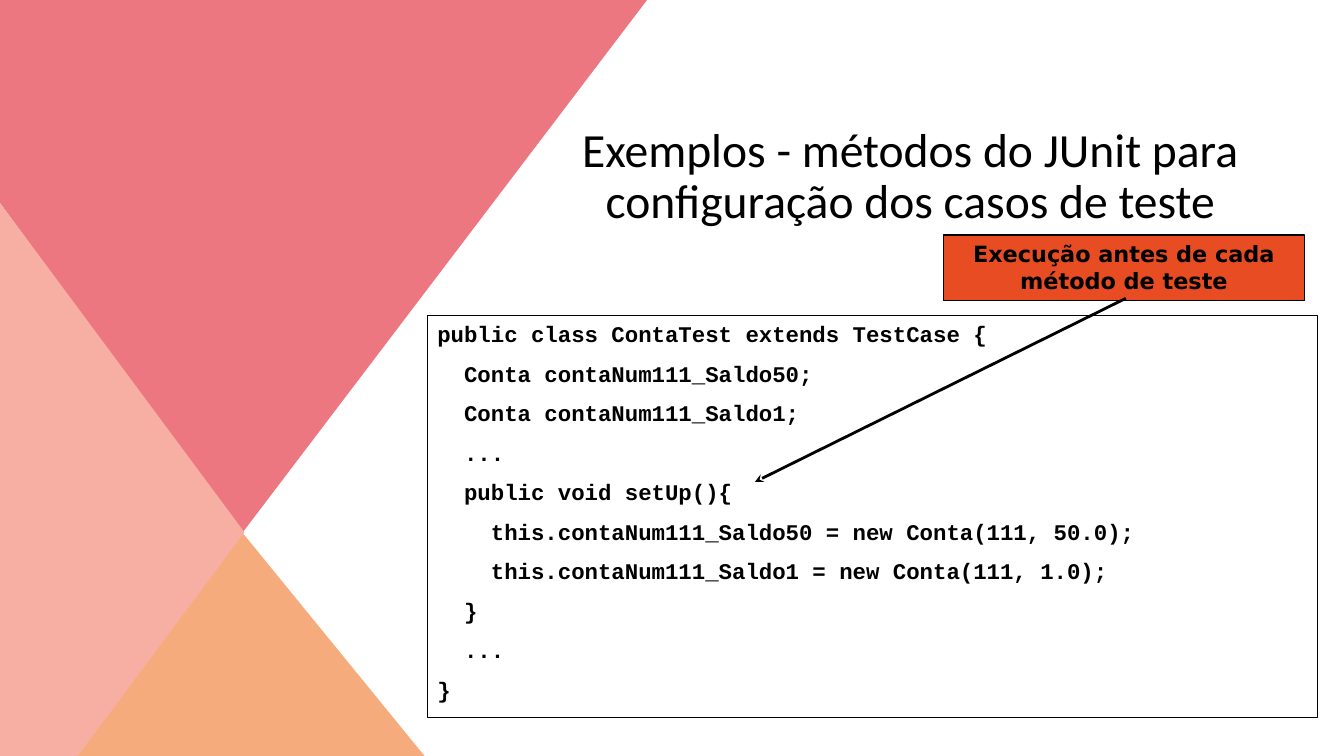
from lxml import etree
from pptx import Presentation
from pptx.dml.color import RGBColor
from pptx.enum.shapes import MSO_CONNECTOR, MSO_SHAPE
from pptx.enum.text import MSO_ANCHOR, MSO_AUTO_SIZE, PP_ALIGN
from pptx.oxml.ns import qn
from pptx.util import Pt

TRIANGLE, RECT = MSO_SHAPE.ISOSCELES_TRIANGLE, MSO_SHAPE.RECTANGLE
STRAIGHT = MSO_CONNECTOR.STRAIGHT
TOP, BOTTOM = MSO_ANCHOR.TOP, MSO_ANCHOR.BOTTOM
LEFT, CENTER = PP_ALIGN.LEFT, PP_ALIGN.CENTER
NO_FIT = MSO_AUTO_SIZE.NONE

COLORS = {"black": "000000", "orange": "F6AB7C", "red": "ED7780",
          "pink": "F7AFA3", "callout": "E84C22"}
RGB = {name: RGBColor.from_string(value) for name, value in COLORS.items()}


def paint(sp, fill=None, line=None):
    sp.shadow.inherit = False
    if fill:
        sp.fill.solid()
        sp.fill.fore_color.rgb = RGB[fill]
    else:
        sp.fill.background()
    if line:
        sp.line.color.rgb = RGB[line]
        sp.line.width = Pt(1)
    else:
        sp.line.fill.background()


def write(sp, lines, font, size, align, anchor, bold):
    tf = sp.text_frame
    tf.word_wrap = True
    tf.auto_size = NO_FIT
    tf.vertical_anchor = anchor
    for i, text in enumerate(lines):
        p = tf.add_paragraph() if i else tf.paragraphs[0]
        p.text = text
        p.alignment = align
        p.space_before = Pt(9 if i else 0)
        p.font.name, p.font.size, p.font.bold = font, Pt(size), bold
        p.font.color.rgb = RGB["black"]


prs = Presentation()
prs.slide_width, prs.slide_height = Pt(960), Pt(540)
s = prs.slides.add_slide(prs.slide_layouts[5])

# Decorative facets on the left
sp = s.shapes.add_shape(TRIANGLE, Pt(40.3), Pt(379.5), Pt(264.2), Pt(162))
paint(sp, "orange")
facets = {
    "red": [(0, 0), (462.2, 0), (173.2, 380.5), (0, 145)],
    "pink": [(0, 145), (174.6, 380.2), (55.5, 540), (0, 540)],
}
for color, points in facets.items():
    corners = [(Pt(x), Pt(y)) for x, y in points]
    builder = s.shapes.build_freeform(*corners[0])
    builder.add_line_segments(corners[1:], close=True)
    paint(builder.convert_to_shape(), color)

# Title
title = s.shapes.title
title.left, title.top, title.width, title.height = Pt(323.3), Pt(77), Pt(653.8), Pt(90)
write(title, ["Exemplos - métodos do JUnit para configuração dos casos de teste"],
      "Calibri", 34, CENTER, BOTTOM, False)
title.text_frame.paragraphs[0].line_spacing = 0.9

# Code listing
code = """public class ContaTest extends TestCase {
  Conta contaNum111_Saldo50;
  Conta contaNum111_Saldo1;
  ...
  public void setUp(){
    this.contaNum111_Saldo50 = new Conta(111, 50.0);
    this.contaNum111_Saldo1 = new Conta(111, 1.0);
  }
  ...
}"""
sp = s.shapes.add_shape(RECT, Pt(305.3), Pt(225.4), Pt(635.8), Pt(287.3))
paint(sp, line="black")
write(sp, code.split("\n"), "Courier New", 16, LEFT, TOP, True)

# Callout
sp = s.shapes.add_shape(RECT, Pt(673.9), Pt(168), Pt(257.8), Pt(46.5))
paint(sp, "callout", "black")
write(sp, ["Execução antes de cada método de teste"],
      "DejaVu Sans", 16, CENTER, TOP, True)

# Arrow from the callout to setUp
arrow = s.shapes.add_connector(STRAIGHT, Pt(804.2), Pt(213.1), Pt(539.3), Pt(344.2))
arrow.line.color.rgb = RGB["black"]
arrow.line.width = Pt(2)
etree.SubElement(arrow.line._get_or_add_ln(), qn("a:tailEnd"), type="stealth")
etree.SubElement(arrow._element.spPr, qn("a:effectLst"))

prs.save("out.pptx")
